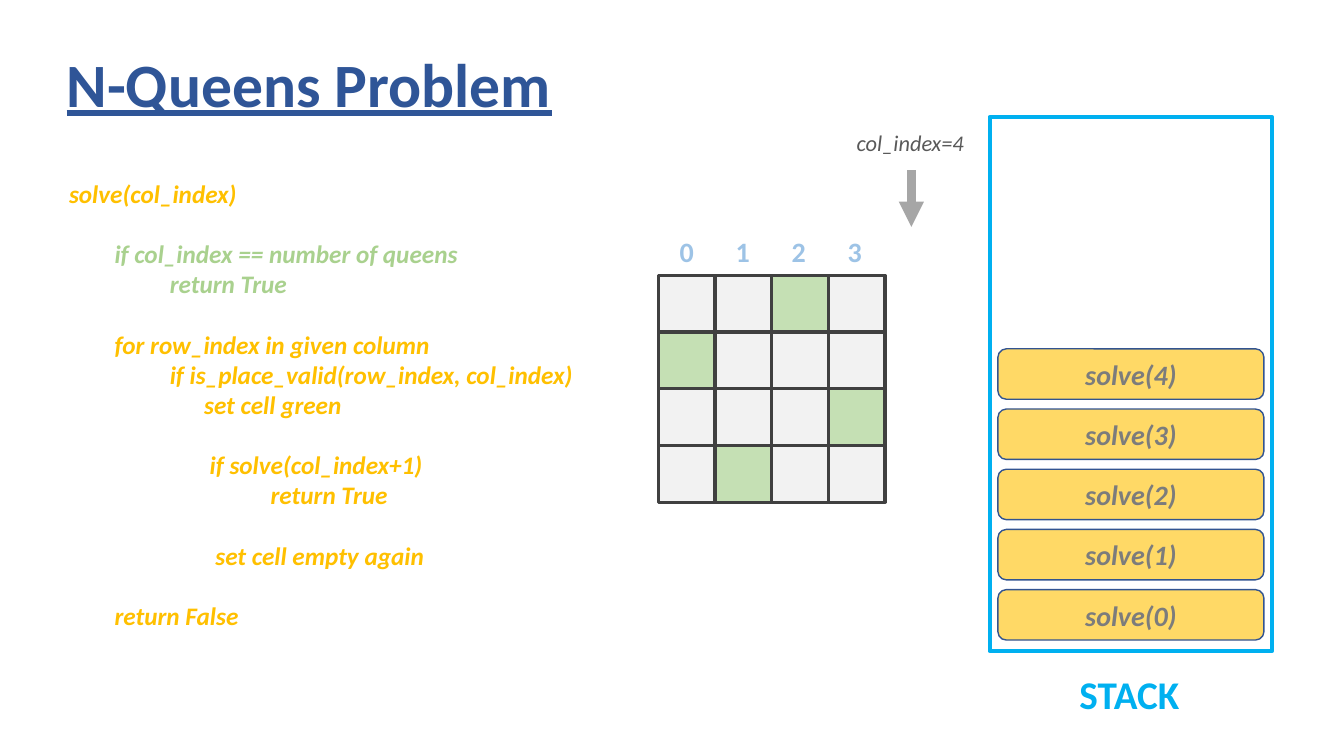
"""Build the N-Queens slide with its pseudocode, board and call stack."""
from lxml.etree import SubElement
from pptx import Presentation
from pptx.dml.color import RGBColor
from pptx.enum.shapes import MSO_CONNECTOR, MSO_SHAPE
from pptx.enum.text import MSO_ANCHOR, MSO_AUTO_SIZE, PP_ALIGN
from pptx.oxml.ns import qn
from pptx.util import Pt

NAVY = RGBColor(0x2F, 0x55, 0x97)
CYAN = RGBColor(0x00, 0xB0, 0xF0)
AMBER = RGBColor(0xFF, 0xC0, 0x00)
GREEN = RGBColor(0xA9, 0xD1, 0x8E)
SKY = RGBColor(0x9D, 0xC3, 0xE6)
QUEEN_FILL = RGBColor(0xC5, 0xE0, 0xB4)
CELL_FILL = RGBColor(0xF2, 0xF2, 0xF2)
CELL_LINE = RGBColor(0x40, 0x40, 0x40)
FRAME_FILL = RGBColor(0xFF, 0xD9, 0x66)
FRAME_LINE = RGBColor(0x32, 0x54, 0x91)
FRAME_TEXT = RGBColor(0x7C, 0x7C, 0x7C)
ARROW_GRAY = RGBColor(0xA6, 0xA6, 0xA6)
LABEL_GRAY = RGBColor(0x59, 0x59, 0x59)

LINE_PITCH = 21.55
CODE_LINES = [
    ("solve(col_index)", 0, False, AMBER),
    ("if col_index == number of queens", 32.5, True, GREEN),
    ("return True", 72, False, GREEN),
    ("for row_index in given column", 32.5, True, AMBER),
    ("if is_place_valid(row_index, col_index)", 72, False, AMBER),
    ("set cell green", 96.5, False, AMBER),
    ("if solve(col_index+1)", 100.5, True, AMBER),
    ("return True", 144, False, AMBER),
    ("set cell empty again", 104.5, True, AMBER),
    ("return False", 32.5, True, AMBER),
]
BOARD_SIZE = 4
QUEEN_COLUMNS = [2, 0, 3, 1]
CELL = 40.5
BOARD_LEFT, BOARD_TOP = 470.2, 196.7
FRAME_PITCH = 43


def write_text(paragraph, text, *, size, color, font="Calibri", bold=True,
               italic=False, underline=False, align=PP_ALIGN.LEFT):
    run = paragraph.add_run()
    run.text = text
    run.font.name = font
    run.font.size = Pt(size)
    run.font.color.rgb = color
    run.font.bold = bold
    run.font.italic = italic
    run.font.underline = underline
    paragraph.alignment = align


class SlideBuilder:
    def __init__(self, slide, font="Calibri"):
        self.slide = slide
        self.font = font

    def title(self, text, left, top, width, height):
        shape = self.slide.shapes.title
        shape.left, shape.top = Pt(left), Pt(top)
        shape.width, shape.height = Pt(width), Pt(height)
        frame = shape.text_frame
        frame.auto_size = MSO_AUTO_SIZE.NONE
        frame.vertical_anchor = MSO_ANCHOR.MIDDLE
        paragraph = frame.paragraphs[0]
        paragraph.line_spacing = 0.9
        write_text(paragraph, text, size=44, color=NAVY, font=self.font, underline=True)

    def text_box(self, left, top, width, height):
        shape = self.slide.shapes.add_textbox(Pt(left), Pt(top), Pt(width), Pt(height))
        shape.text_frame.word_wrap = True
        return shape.text_frame

    def label(self, text, left, top, width, height, **text_format):
        frame = self.text_box(left, top, width, height)
        write_text(frame.paragraphs[0], text, font=self.font, **text_format)

    def code(self, lines, left, top, width, height):
        frame = self.text_box(left, top, width, height)
        for number, (text, indent, gap_before, color) in enumerate(lines):
            paragraph = frame.add_paragraph() if number else frame.paragraphs[0]
            paragraph.line_spacing = Pt(LINE_PITCH)
            paragraph.space_before = Pt(LINE_PITCH if gap_before else 0)
            paragraph._p.get_or_add_pPr().set("marL", str(Pt(indent)))
            write_text(paragraph, text, size=18, color=color, font=self.font, italic=True)

    def box(self, left, top, width, height, line, line_width, fill=None,
            kind=MSO_SHAPE.RECTANGLE):
        shape = self.slide.shapes.add_shape(kind, Pt(left), Pt(top), Pt(width), Pt(height))
        shape.shadow.inherit = False
        if fill is None:
            shape.fill.background()
        else:
            shape.fill.solid()
            shape.fill.fore_color.rgb = fill
        shape.line.color.rgb = line
        shape.line.width = Pt(line_width)
        return shape

    def stack_frame(self, text, left, top, width, height):
        shape = self.box(left, top, width, height, FRAME_LINE, 1, FRAME_FILL,
                         MSO_SHAPE.ROUNDED_RECTANGLE)
        shape.text_frame.vertical_anchor = MSO_ANCHOR.MIDDLE
        write_text(shape.text_frame.paragraphs[0], text, size=20, color=FRAME_TEXT,
                   font=self.font, italic=True, align=PP_ALIGN.CENTER)

    def arrow(self, start_x, start_y, end_x, end_y, color, width):
        connector = self.slide.shapes.add_connector(
            MSO_CONNECTOR.STRAIGHT, Pt(start_x), Pt(start_y), Pt(end_x), Pt(end_y))
        connector.line.color.rgb = color
        connector.line.width = Pt(width)
        SubElement(connector.line._get_or_add_ln(), qn("a:tailEnd"), type="triangle")
        SubElement(connector._element.spPr, qn("a:effectLst"))


def main():
    presentation = Presentation()
    presentation.slide_width, presentation.slide_height = Pt(960), Pt(540)
    slide = presentation.slides.add_slide(presentation.slide_layouts[5])
    builder = SlideBuilder(slide)

    builder.title("N-Queens Problem", 40.3, 10, 828, 104.4)
    builder.box(707, 83.5, 201.6, 381.6, CYAN, 3)
    builder.label("STACK", 764, 475.2, 94, 41, size=28, color=CYAN)
    builder.code(CODE_LINES, 42.2, 123.8, 378, 356.4)

    for row, queen_column in enumerate(QUEEN_COLUMNS):
        for column in range(BOARD_SIZE):
            fill = QUEEN_FILL if column == queen_column else CELL_FILL
            builder.box(BOARD_LEFT + column * CELL, BOARD_TOP + row * CELL,
                        CELL, CELL, CELL_LINE, 2.25, fill)
    for column in range(BOARD_SIZE):
        builder.label(str(column), 470.5 + column * 40, 164.2, 40, 31.5,
                      size=20, color=SKY, align=PP_ALIGN.CENTER)

    builder.label("col_index=4", 604.8, 88.6, 96, 26.6, size=16, color=LABEL_GRAY,
                  bold=False, italic=True)
    builder.arrow(651, 121.7, 651, 162, ARROW_GRAY, 6)
    for depth in range(BOARD_SIZE + 1):
        builder.stack_frame(f"solve({depth})", 712.8, 421.2 - depth * FRAME_PITCH, 190, 36)

    presentation.save("out.pptx")


main()
